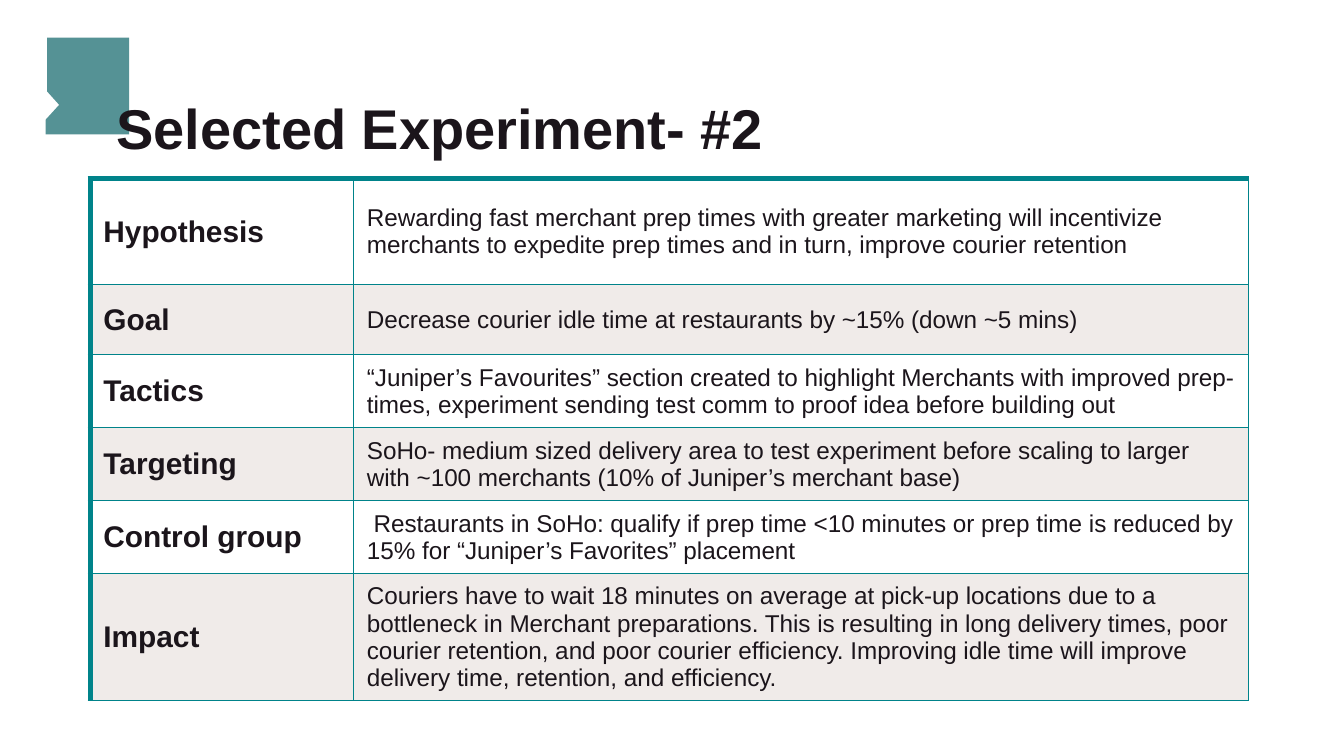
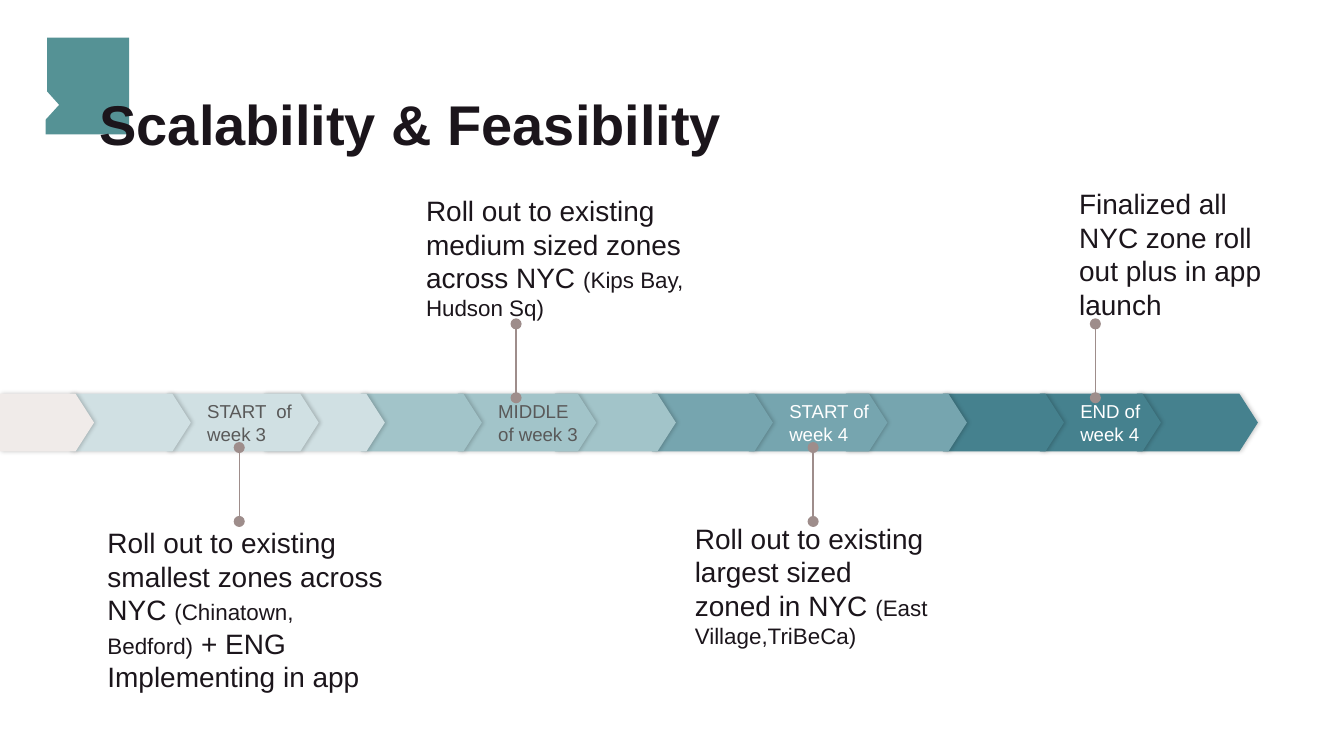
"""Builds a two-slide deck: an experiment table and a rollout timeline."""
from lxml.etree import SubElement
from pptx import Presentation
from pptx.dml.color import RGBColor
from pptx.enum.shapes import MSO_CONNECTOR, MSO_SHAPE
from pptx.enum.text import MSO_ANCHOR, MSO_AUTO_SIZE, PP_ALIGN
from pptx.oxml.ns import qn
from pptx.util import Inches, Pt

CELL = Inches(0.1)
COLS, ROWS = 100, 56.25
FONT = "Arial"
HUES = {
    "ink": "1B151B", "badge": "559295", "edge": "00838A", "band": "F0EBE9",
    "pin": "9E8D8B", "grey": "595959", "white": "FFFFFF", "black": "000000",
    "pale": "D0E0E3", "light": "A2C4C9", "mid": "76A5AF", "deep": "45818E",
}
BADGE = [(3.5, 2.8), (9.6, 2.8), (9.6, 10), (3.4, 10), (3.4, 8.9), (4.4, 7.8), (3.5, 6.8)]
FACTS = [
    ("Hypothesis", "Rewarding fast merchant prep times with greater marketing will "
     "incentivize merchants to expedite prep times and in turn, improve courier retention", 7.9),
    ("Goal", "Decrease courier idle time at restaurants by ~15% (down ~5 mins)", 5.2),
    ("Tactics", "“Juniper’s Favourites” section created to highlight Merchants with "
     "improved prep-times, experiment sending test comm to proof idea before building out", 5.2),
    ("Targeting", "SoHo- medium sized delivery area to test experiment before scaling to "
     "larger with ~100 merchants (10% of Juniper’s merchant base)", 5.2),
    ("Control group", " Restaurants in SoHo: qualify if prep time <10 minutes or prep time "
     "is reduced by 15% for “Juniper’s Favorites” placement", 5.4),
    ("Impact", "Couriers have to wait 18 minutes on average at pick-up locations due to a "
     "bottleneck in Merchant preparations. This is resulting in long delivery times, poor "
     "courier retention, and poor courier efficiency. Improving idle time will improve "
     "delivery time, retention, and efficiency.", 5.2),
]
PHASES = [
    ("START  of  week 3", "pale", "grey", 11.3),
    ("MIDDLE of week 3", "light", "grey", 10.3),
    ("START of week 4", "mid", "white", 10.3),
    ("END of week 4", "deep", "white", 9),
]
NOTES = [
    (38.4, True, (31.7, 18.4, 20, 5.5),
     [("Roll out to existing medium sized zones across NYC ", 15), ("(Kips Bay, Hudson Sq)", 12)]),
    (81.5, True, (80.3, 18.1, 13.7, 5.8),
     [("Finalized all NYC zone roll out plus in app launch", 15)]),
    (17.8, False, (8, 39.1, 20.6, 5.8),
     [("Roll out to existing smallest zones across NYC ", 15), ("(Chinatown, Bedford)", 12),
      (" + ENG Implementing in app", 15)]),
    (60.5, False, (51.7, 38.8, 17.7, 17.6),
     [("Roll out to existing largest sized zoned in NYC ", 15), ("(East Village,TriBeCa)", 12)]),
]


def grid(*cells):
    """Turn grid cells into slide lengths."""
    return [round(cell * CELL) for cell in cells]


def hue(name):
    """Look up a colour by name."""
    return RGBColor.from_string(HUES[name])


def write(frame, runs, tint="ink", bold=False, anchor=MSO_ANCHOR.MIDDLE):
    """Fill a text frame with one left-aligned paragraph of sized runs."""
    frame.word_wrap = True
    frame.vertical_anchor = anchor
    para = frame.paragraphs[0]
    para.alignment = PP_ALIGN.LEFT
    for text, size in runs:
        run = para.add_run()
        run.text = text
        run.font.name, run.font.size, run.font.bold = FONT, Pt(size), bold
        run.font.color.rgb = hue(tint)
    return para


def inset(frame, left=0.0):
    """Clear the margins of a frame, but for the left one."""
    frame.margin_left = grid(left)[0]
    frame.margin_top = frame.margin_right = frame.margin_bottom = 0


def place(shape, box):
    """Move and size a shape on the grid."""
    shape.left, shape.top, shape.width, shape.height = grid(*box)


def start(deck, title, left, top):
    """Add a slide with the shared badge and title."""
    slide = deck.slides.add_slide(deck.slide_layouts[5])
    points = [grid(*point) for point in BADGE]
    pen = slide.shapes.build_freeform(*points[0])
    pen.add_line_segments(points[1:], close=True)
    badge = pen.convert_to_shape()
    paint(badge, "badge")
    slide.shapes._spTree.insert(2, badge._element)
    head = slide.shapes.title
    place(head, (left, top, 58.6, 4.3))
    inset(head.text_frame)
    head.text_frame.auto_size = MSO_AUTO_SIZE.NONE
    write(head.text_frame, [(title, 30)], bold=True, anchor=MSO_ANCHOR.BOTTOM).line_spacing = 0.8
    return slide


def paint(shape, fill):
    """Give a shape a flat fill with no outline or shadow."""
    shape.fill.solid()
    shape.fill.fore_color.rgb = hue(fill)
    shape.line.fill.background()
    shape.shadow.inherit = False


def shade(shape):
    """Cast a faint shadow to the right of a shape."""
    effects = shape._element.spPr.find(qn("a:effectLst"))
    cast = SubElement(effects, qn("a:outerShdw"), blurRad=str(Pt(2.2)), dist=str(Pt(0.8)),
                      dir="0", algn="bl", rotWithShape="0")
    tone = SubElement(cast, qn("a:srgbClr"), val=HUES["black"])
    SubElement(tone, qn("a:alpha"), val="20000")


def border(cell, **widths):
    """Draw the four edges of a cell, thin unless a width is given."""
    props = cell._tc.get_or_add_tcPr()
    for side in "LRTB":
        line = SubElement(props, qn("a:ln" + side), w=str(Pt(widths.get(side, 0.75))))
        SubElement(SubElement(line, qn("a:solidFill")), qn("a:srgbClr"), val=HUES["edge"])


def chart(slide, facts):
    """Add the two-column table of facts."""
    heights = [fact[2] for fact in facts]
    box = grid(6.7, 13.3, 86.2, sum(heights))
    table = slide.shapes.add_table(len(facts), 2, *box).table
    table.first_row = table.horz_banding = False
    for column, width in zip(table.columns, grid(19.6, 66.6)):
        column.width = width
    for row, (label, text, height) in enumerate(facts):
        table.rows[row].height = grid(height)[0]
        for col, run in enumerate([(label, 16), (text, 13)]):
            cell = table.cell(row, col)
            cell.margin_left, cell.margin_right = grid(1, 1)
            cell.margin_top, cell.margin_bottom = grid(0.7, 0.7)
            border(cell, L=0.75 if col else 3, T=0.75 if row else 3)
            if row % 2:
                cell.fill.solid()
                cell.fill.fore_color.rgb = hue("band")
            else:
                cell.fill.background()
            write(cell.text_frame, [run], bold=col == 0)
            cell.vertical_anchor = MSO_ANCHOR.MIDDLE


def arrow(slide, left, width, fill):
    """Add one arrow of the timeline band."""
    shape = slide.shapes.add_shape(MSO_SHAPE.PENTAGON, *grid(left, 29.3, width, 4.3))
    shape.adjustments[0] = 0.32
    paint(shape, fill)
    shade(shape)
    return shape


def band(slide, phases):
    """Lay the arrows from right to left, three to a phase."""
    count = 3 * len(phases)
    step = (84.6 - 5.2) / (count - 1)
    for spot in reversed(range(count)):
        label, fill, tint, width = phases[spot // 3]
        named = spot % 3 == 1
        shape = arrow(slide, 5.2 + spot * step, width if named else 9, fill)
        if named:
            inset(shape.text_frame, 3)
            write(shape.text_frame, [(label, 10)], tint)
    arrow(slide, 0, 7, "band")


def pin(slide, x, top, bottom):
    """Add an upright line with a dot at each end."""
    line = slide.shapes.add_connector(MSO_CONNECTOR.STRAIGHT, *grid(x, bottom, x, top))
    line.line.color.rgb = hue("pin")
    line.line.width = Pt(0.75)
    stroke = line.line._get_or_add_ln()
    for end in ("a:headEnd", "a:tailEnd"):
        SubElement(stroke, qn(end), type="oval")
    SubElement(line._element.spPr, qn("a:effectLst"))


def note(slide, x, above, box, runs):
    """Add a pin and its note above or below the band."""
    pin(slide, x, *((24.1, 29.6) if above else (33.3, 38.8)))
    frame = slide.shapes.add_textbox(*grid(*box)).text_frame
    inset(frame)
    write(frame, runs, anchor=MSO_ANCHOR.BOTTOM if above else MSO_ANCHOR.TOP)


def main():
    """Build and save the deck."""
    deck = Presentation()
    deck.slide_width, deck.slide_height = grid(COLS, ROWS)
    chart(start(deck, " Selected Experiment- #2", 7.5, 7.6), FACTS)
    slide = start(deck, "Scalability & Feasibility", 7.4, 7.3)
    band(slide, PHASES)
    for item in NOTES:
        note(slide, *item)
    deck.save("out.pptx")


main()
